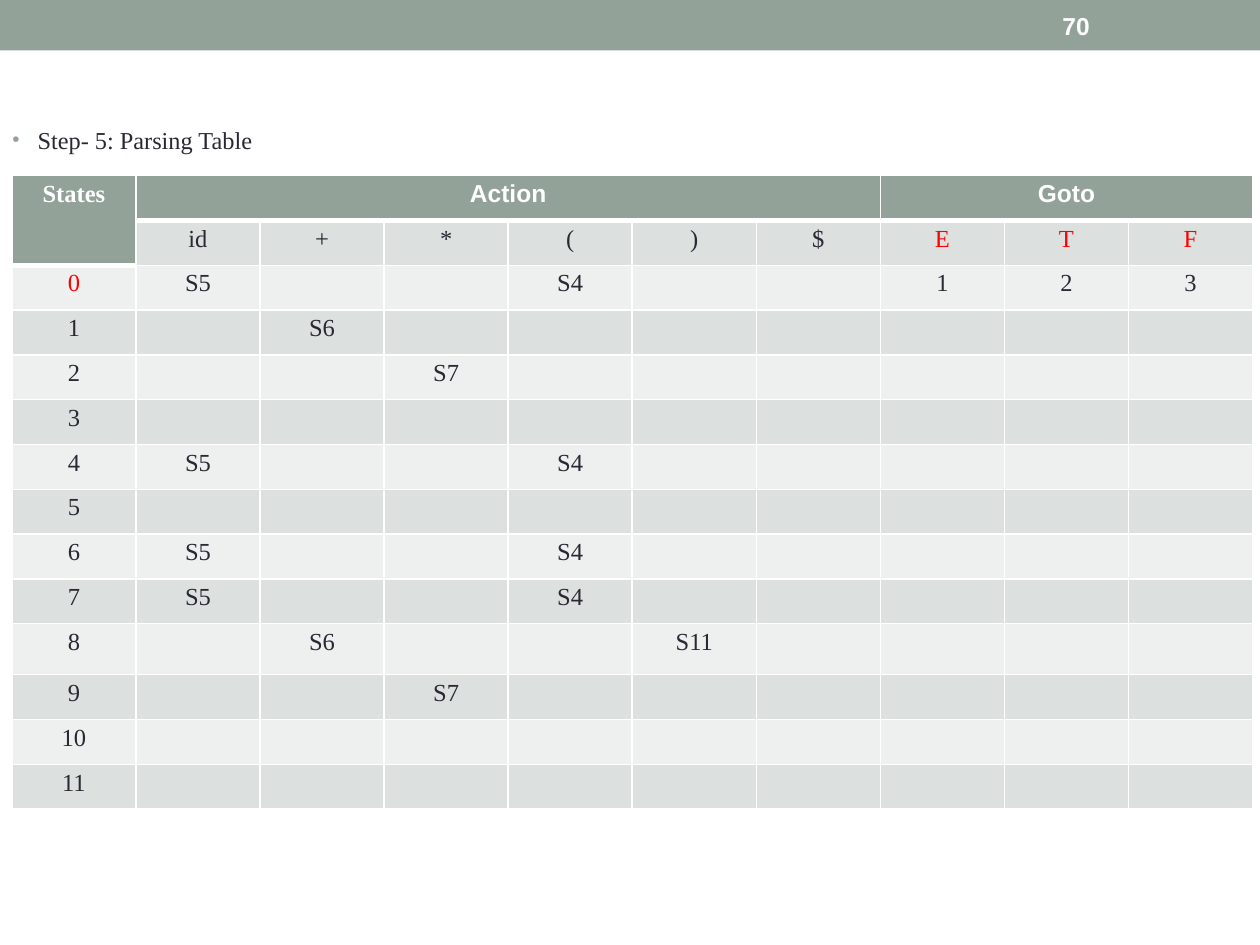
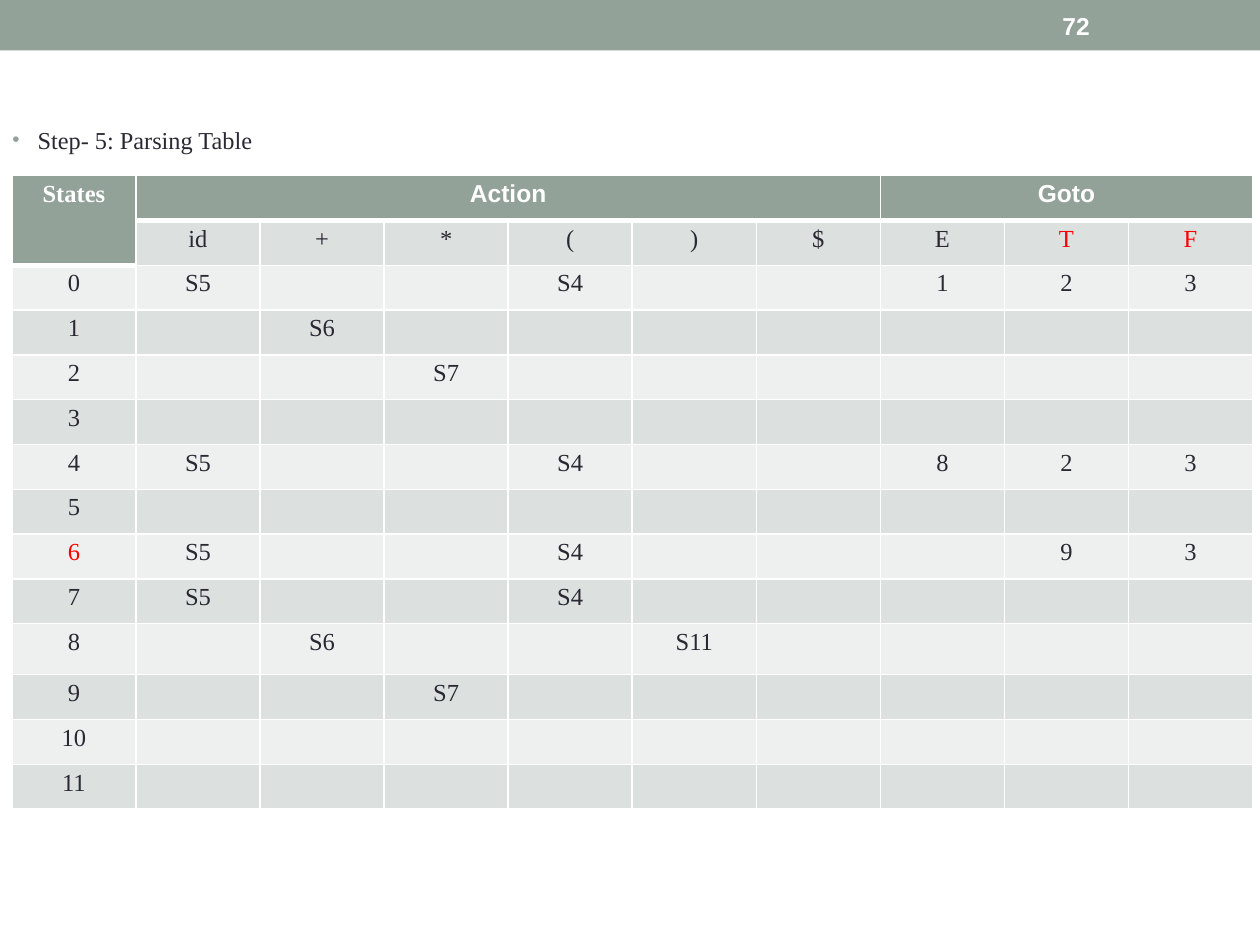
from lxml import etree
from pptx import Presentation, util as u
from pptx.dml.color import RGBColor
from pptx.enum import shapes, text
from pptx.oxml import ns

PX = u.Inches(1) // 180
SAGE = RGBColor(0x93, 0xA2, 0x99)
DARK_BAND = RGBColor(0xDC, 0xE0, 0xDE)
LIGHT_BAND = RGBColor(0xEE, 0xF0, 0xEF)
INK = RGBColor(0x29, 0x29, 0x34)
RED = RGBColor(0xFF, 0x00, 0x00)
WHITE = RGBColor(0xFF, 0xFF, 0xFF)
SERIF = "Times New Roman"
SANS = "Arial"

SYMBOLS = ["id", "+", "*", "(", ")", "$", "E", "T", "F"]
HEADINGS = {(0, 0): "States", (0, 1): "Action", (0, 7): "Goto"}
SHIFTS = {
    0: {"id": "S5", "(": "S4"},
    1: {"+": "S6"},
    2: {"*": "S7"},
    4: {"id": "S5", "(": "S4"},
    6: {"id": "S5", "(": "S4"},
    7: {"id": "S5", "(": "S4"},
    8: {"+": "S6", ")": "S11"},
    9: {"*": "S7"},
}
STATE_COUNT = 12
ROW_COUNT = STATE_COUNT + 2
COLUMN_COUNT = len(SYMBOLS) + 1
ROW_HEIGHT = 64
TALL_ROW, TALL_HEIGHT = 10, 73
TABLE_WIDTH = 1773
STEPS = [
    {
        "number": "70",
        "gotos": {0: {"E": "1", "T": "2", "F": "3"}},
        "red": {"0", "E", "T", "F"},
    },
    {
        "number": "72",
        "gotos": {
            0: {"E": "1", "T": "2", "F": "3"},
            4: {"E": "8", "T": "2", "F": "3"},
            6: {"T": "9", "F": "3"},
        },
        "red": {"6", "T", "F"},
    },
]


def add_text(slide, left, top, width, height, words, size, font, color, bold=False):
    box = slide.shapes.add_textbox(left * PX, top * PX, width * PX, height * PX)
    box.text_frame.word_wrap = True
    box.text_frame.text = words
    run_font = box.text_frame.paragraphs[0].runs[0].font
    run_font.size, run_font.name, run_font.bold = u.Pt(size), font, bold
    run_font.color.rgb = color
    return box.text_frame


def add_borders(cell, **points):
    properties = cell._tc.get_or_add_tcPr()
    for side in "LRTB":
        line = etree.SubElement(properties, ns.qn(f"a:ln{side}"), w=str(u.Pt(points.get(side, 1))))
        fill = etree.SubElement(line, ns.qn("a:solidFill"))
        etree.SubElement(fill, ns.qn("a:srgbClr"), val=str(WHITE))


presentation = Presentation()
presentation.slide_width = 1800 * PX
presentation.slide_height = 1350 * PX

for step in STEPS:
    slide = presentation.slides.add_slide(presentation.slide_layouts[6])

    band = slide.shapes.add_shape(shapes.MSO_SHAPE.RECTANGLE, 0, 0, 1800 * PX, 72 * PX)
    band.shadow.inherit = False
    band.fill.solid()
    band.fill.fore_color.rgb = SAGE
    band.line.fill.background()

    step_frame = add_text(slide, 0, 170, 400, 75, "Step- 5: Parsing Table", 13.9, SERIF, INK)
    bullet = step_frame.paragraphs[0]._p.get_or_add_pPr()
    bullet.set("marL", str(36 * PX))
    bullet.set("indent", str(-36 * PX))
    bullet_color = etree.SubElement(bullet, ns.qn("a:buClr"))
    etree.SubElement(bullet_color, ns.qn("a:srgbClr"), val=str(SAGE))
    etree.SubElement(bullet, ns.qn("a:buSzPct"), val="85000")
    etree.SubElement(bullet, ns.qn("a:buFont"), typeface=SANS)
    etree.SubElement(bullet, ns.qn("a:buChar"), char="•")

    number_frame = add_text(slide, 1500, 4, 210, 65, step["number"], 14, SANS, WHITE, True)
    number_frame.vertical_anchor = text.MSO_ANCHOR.MIDDLE

    entries = dict(HEADINGS)
    for column, symbol in enumerate(SYMBOLS, 1):
        entries[1, column] = symbol
        for state in range(STATE_COUNT):
            actions = SHIFTS.get(state, {}) | step["gotos"].get(state, {})
            entries[state + 2, column] = actions.get(symbol, "")
    for state in range(STATE_COUNT):
        entries[state + 2, 0] = str(state)

    table_height = (ROW_COUNT - 1) * ROW_HEIGHT + TALL_HEIGHT
    table = slide.shapes.add_table(
        ROW_COUNT, COLUMN_COUNT, 17 * PX, 251 * PX, TABLE_WIDTH * PX, table_height * PX
    ).table
    for column in table.columns:
        column.width = TABLE_WIDTH * PX // COLUMN_COUNT
    for index, row in enumerate(table.rows):
        row.height = (TALL_HEIGHT if index == TALL_ROW else ROW_HEIGHT) * PX
    table.cell(0, 0).merge(table.cell(1, 0))
    table.cell(0, 1).merge(table.cell(0, 6))
    table.cell(0, 7).merge(table.cell(0, 9))

    for row in range(ROW_COUNT):
        for column in range(COLUMN_COUNT):
            cell = table.cell(row, column)
            is_heading = row == 0 or (row, column) == (1, 0)
            last_heading_row = 1 if column == 0 else 0
            add_borders(
                cell,
                T=3 if row == last_heading_row + 1 else 1,
                B=3 if is_heading else 1,
            )
            cell.fill.solid()
            cell.fill.fore_color.rgb = SAGE if is_heading else DARK_BAND if row % 2 else LIGHT_BAND
            cell.margin_left = cell.margin_right = 13 * PX
            cell.margin_top = cell.margin_bottom = 7 * PX

            words = entries.get((row, column), "")
            cell.text_frame.text = words
            paragraph = cell.text_frame.paragraphs[0]
            paragraph.alignment = text.PP_ALIGN.CENTER
            if not words:
                etree.SubElement(paragraph._p, ns.qn("a:endParaRPr"), sz="1400")
                continue
            font = paragraph.runs[0].font
            font.size = u.Pt(14)
            font.name = SANS if row == 0 and column > 0 else SERIF
            font.bold = is_heading
            is_label = row == 1 or column == 0
            is_red = is_label and words in step["red"]
            font.color.rgb = WHITE if is_heading else RED if is_red else INK

presentation.save("out.pptx")
